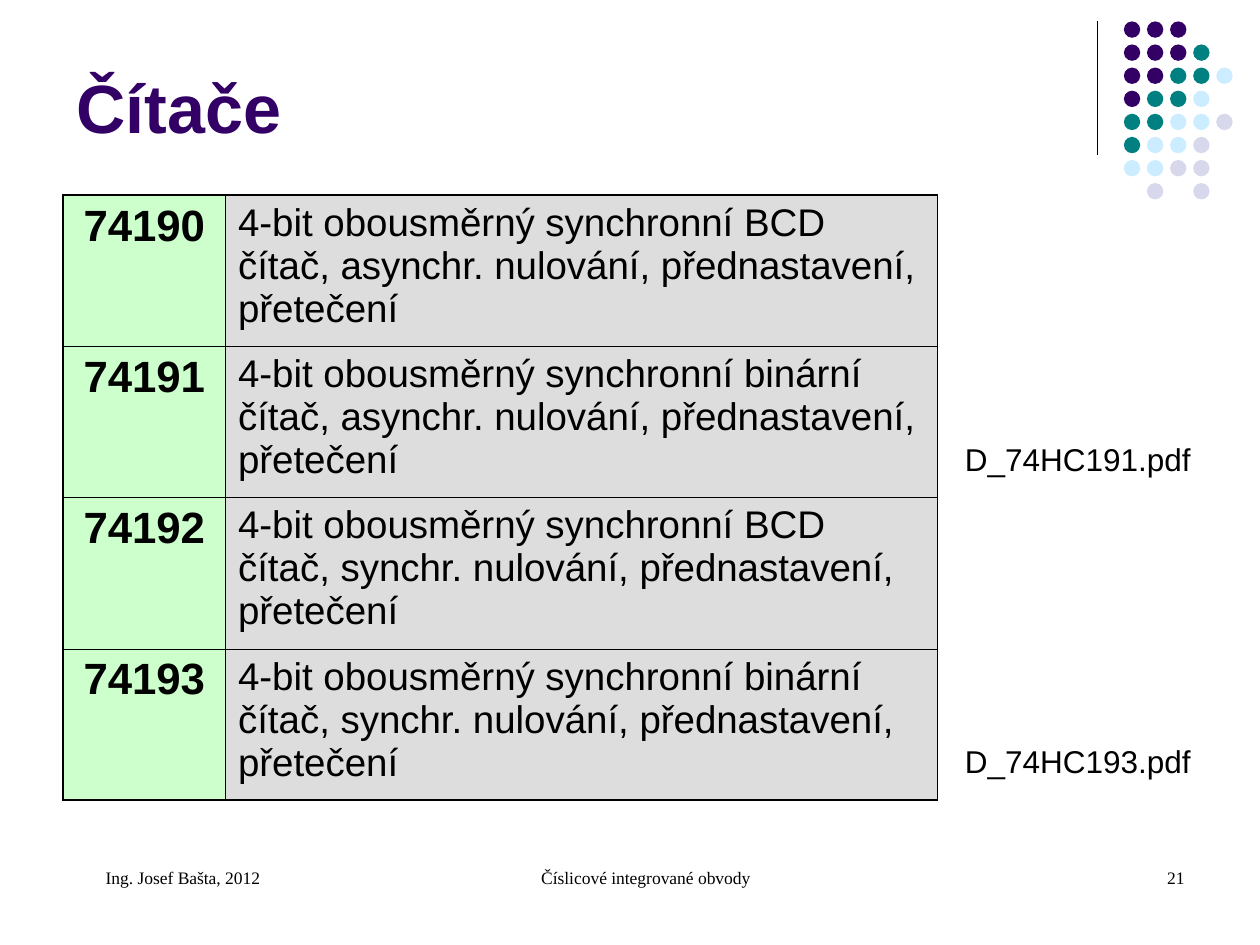
from dataclasses import dataclass

from lxml import etree
from pptx import Presentation
from pptx import util as u
from pptx.dml.color import RGBColor
from pptx.enum import shapes, text
from pptx.oxml.ns import qn

COLORS = {
    "purple": "330066", "teal": "008080", "sky": "CCECFF", "lilac": "D8D8EC",
    "green": "CCFFCC", "grey": "DDDDDD", "black": "000000",
}
SLIDE_W, SLIDE_H = 10, 7.5

# Dot pattern: one letter per dot, a space leaves a gap
DOT_ROWS = ["ppp", "pppt", "pptts", "ptts", "ttssl", "tssl", "ssll", " l l"]
DOT_COLORS = {"p": "purple", "t": "teal", "s": "sky", "l": "lilac"}
DOT_LEFT, DOT_TOP, DOT_PITCH, DOT_SIZE = 8.92, 0.17, 0.18333, 0.13

# Table grid
TABLE_LEFT, TABLE_TOP, ROW_H = 0.5, 1.55, 1.2
COL_W = (1.29, 5.65)
OUTER, INNER = 1.08, 0.45
COUNTERS = [
    ("74190", "4-bit obousměrný synchronní BCD čítač, asynchr. nulování, přednastavení, přetečení"),
    ("74191", "4-bit obousměrný synchronní binární čítač, asynchr. nulování, přednastavení, přetečení"),
    ("74192", "4-bit obousměrný synchronní BCD čítač, synchr. nulování, přednastavení, přetečení"),
    ("74193", "4-bit obousměrný synchronní binární čítač, synchr. nulování, přednastavení, přetečení"),
]
DATASHEETS = {1: "D_74HC191.pdf", 3: "D_74HC193.pdf"}  # by table row


@dataclass
class Style:
    size: float
    font: str = "Arial"
    color: str = "black"
    bold: bool = False
    align: text.PP_ALIGN = text.PP_ALIGN.LEFT
    indent: float = 0


@dataclass
class Label:
    words: str
    left: float
    top: float
    width: float
    height: float
    style: Style
    anchor: text.MSO_ANCHOR = text.MSO_ANCHOR.TOP


def rgb(name: str) -> RGBColor:
    return RGBColor.from_string(COLORS[name])


def write(tf, words: str, style: Style) -> None:
    tf.text = words
    p = tf.paragraphs[0]
    p.alignment = style.align
    if style.indent:
        p._p.get_or_add_pPr().set("marL", str(u.Inches(style.indent)))
    font = p.runs[0].font
    font.size, font.name, font.bold = u.Pt(style.size), style.font, style.bold
    font.color.rgb = rgb(style.color)


def add_label(slide, label: Label) -> None:
    box = [u.Inches(v) for v in (label.left, label.top, label.width, label.height)]
    tf = slide.shapes.add_textbox(*box).text_frame
    tf.word_wrap = True
    tf.vertical_anchor = label.anchor
    write(tf, label.words, label.style)


def add_rule(slide, x: float, top: float, bottom: float) -> None:
    ends = [u.Inches(v) for v in (x, top, x, bottom)]
    line = slide.shapes.add_connector(shapes.MSO_CONNECTOR.STRAIGHT, *ends)
    line.line.color.rgb = rgb("black")
    line.line.width = u.Pt(0.75)
    etree.SubElement(line._element.spPr, qn("a:effectLst"))


def add_dots(slide) -> None:
    group = slide.shapes.add_group_shape()
    for r, row in enumerate(DOT_ROWS):
        for c, key in enumerate(row):
            if key == " ":
                continue
            box = (DOT_LEFT + c * DOT_PITCH, DOT_TOP + r * DOT_PITCH, DOT_SIZE, DOT_SIZE)
            sp = group.shapes.add_shape(shapes.MSO_SHAPE.OVAL, *[u.Inches(v) for v in box])
            sp.fill.solid()
            sp.fill.fore_color.rgb = rgb(DOT_COLORS[key])
            sp.line.fill.background()
            sp.shadow.inherit = False


def set_borders(cell, widths: dict[str, float]) -> None:
    """Insert the border lines ahead of the cell fill, as the schema asks."""
    tc_pr = cell._tc.get_or_add_tcPr()
    for i, (side, width) in enumerate(widths.items()):
        ln = etree.Element(qn(f"a:ln{side}"), w=str(u.Pt(width)))
        fill = etree.SubElement(ln, qn("a:solidFill"))
        etree.SubElement(fill, qn("a:srgbClr"), val=COLORS["black"])
        tc_pr.insert(i, ln)


def add_counter_table(slide) -> None:
    rows, cols = len(COUNTERS), len(COL_W)
    box = (TABLE_LEFT, TABLE_TOP, sum(COL_W), rows * ROW_H)
    table = slide.shapes.add_table(rows, cols, *[u.Inches(v) for v in box]).table
    table.first_row = table.horz_banding = False
    for column, width in zip(table.columns, COL_W):
        column.width = u.Inches(width)
    styles = (Style(25, bold=True, align=text.PP_ALIGN.CENTER), Style(22))
    fills = ("green", "grey")
    for r, counter in enumerate(COUNTERS):
        for c, words in enumerate(counter):
            cell = table.cell(r, c)
            write(cell.text_frame, words, styles[c])
            cell.fill.solid()
            cell.fill.fore_color.rgb = rgb(fills[c])
            on_edge = {"L": c == 0, "R": c == cols - 1, "T": r == 0, "B": r == rows - 1}
            set_borders(cell, {s: OUTER if e else INNER for s, e in on_edge.items()})


def footer(words: str, left: float, width: float, align: text.PP_ALIGN) -> Label:
    style = Style(10, font="Times New Roman", align=align, indent=0.24)
    return Label(words, left, 6.83, width, 0.5, style)


def main() -> None:
    prs = Presentation()
    prs.slide_width, prs.slide_height = u.Inches(SLIDE_W), u.Inches(SLIDE_H)
    slide = prs.slides.add_slide(prs.slide_layouts[6])

    # Corner decoration
    add_rule(slide, 8.71, 0.17, 1.23)
    add_dots(slide)

    # Title and table
    add_label(slide, Label("Čítače", 0.51, 0.36, 8.25, 0.86,
                           Style(39, color="purple", bold=True), text.MSO_ANCHOR.BOTTOM))
    add_counter_table(slide)

    # Datasheet names beside their rows
    for row, name in DATASHEETS.items():
        top = TABLE_TOP + row * ROW_H + 0.69
        add_label(slide, Label(name, 7.56, top, 2.09, 0.4, Style(18)))

    # Footer
    add_label(slide, footer("Číslicové integrované obvody", 3.42, 3.17, text.PP_ALIGN.CENTER))
    add_label(slide, footer("21", 7.17, 2.33, text.PP_ALIGN.RIGHT))
    add_label(slide, footer("Ing. Josef Bašta, 2012", 0.5, 2.33, text.PP_ALIGN.LEFT))

    prs.save("out.pptx")


if __name__ == "__main__":
    main()
